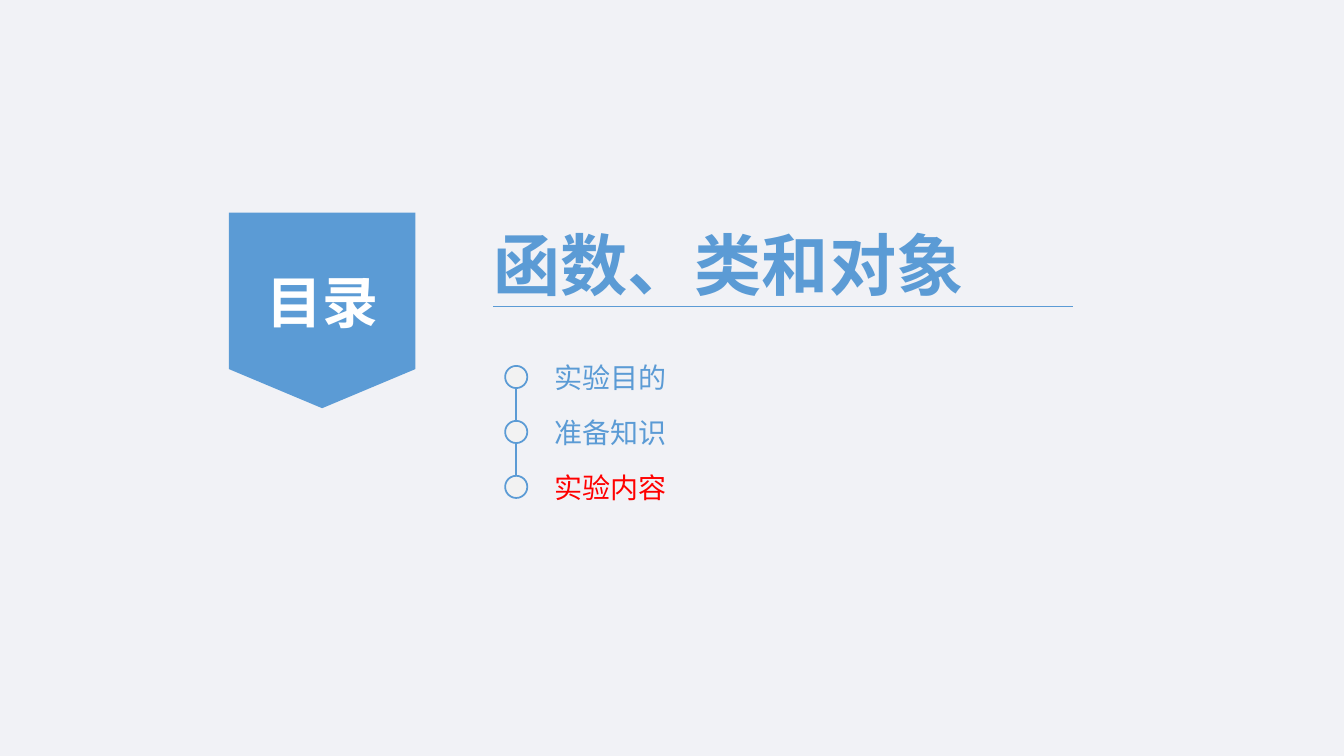
import pptx
import pptx.dml.color
import pptx.enum.shapes
import pptx.enum.text
import pptx.oxml.ns
import pptx.util
import lxml.etree

Inches = pptx.util.Inches
Shapes = pptx.enum.shapes.MSO_SHAPE
Anchor = pptx.enum.text.MSO_ANCHOR
Align = pptx.enum.text.PP_ALIGN

BLUE = "5B9BD5"
RED = "FF0000"
WHITE = "FFFFFF"
BACKGROUND = "F1F2F6"
RING_FILL = "F2F2F2"
CHINESE_FONT = "Noto Sans CJK SC"


def color(hex_string):
    return pptx.dml.color.RGBColor.from_string(hex_string)


def place(shape, left, top, width, height):
    shape.left, shape.top = Inches(left), Inches(top)
    shape.width, shape.height = Inches(width), Inches(height)


def write(shape, text, size, hex_string, font="Arial", bold=False,
          align=Align.LEFT, anchor=Anchor.TOP, margins=(0.1, 0.05)):
    frame = shape.text_frame
    frame.text = text
    frame.word_wrap = True
    frame.auto_size = pptx.enum.text.MSO_AUTO_SIZE.NONE
    frame.vertical_anchor = anchor
    frame.margin_left = frame.margin_right = Inches(margins[0])
    frame.margin_top = frame.margin_bottom = Inches(margins[1])
    para = frame.paragraphs[0]
    para.alignment = align
    span = para.runs[0]
    span.font.name = font
    span.font.size = pptx.util.Pt(size)
    span.font.bold = bold
    span.font.color.rgb = color(hex_string)
    east_asian = lxml.etree.SubElement(
        span.font._element, pptx.oxml.ns.qn("a:ea"))
    east_asian.set("typeface", CHINESE_FONT)
    return para


def add_line(page, start, end, width):
    line = page.shapes.add_connector(
        pptx.enum.shapes.MSO_CONNECTOR.STRAIGHT,
        *(Inches(value) for value in start + end))
    line.line.color.rgb = color(BLUE)
    line.line.width = pptx.util.Pt(width)
    lxml.etree.SubElement(
        line._element.spPr, pptx.oxml.ns.qn("a:effectLst"))


def add_shape(page, kind, fill, left, top, width, height):
    shape = page.shapes.add_shape(
        kind, *(Inches(value) for value in (left, top, width, height)))
    shape.shadow.inherit = False
    shape.fill.solid()
    shape.fill.fore_color.rgb = color(fill)
    shape.line.fill.background()
    return shape


def add_badge(page, left, top, width, height):
    badge = add_shape(page, Shapes.FLOWCHART_OFFPAGE_CONNECTOR, BLUE,
                      left, top, width, height)
    para = write(badge, "目录", 40, WHITE, CHINESE_FONT, True,
                 Align.CENTER, Anchor.MIDDLE)
    para.line_spacing = 1.3


def add_heading(page, left, top, width, height):
    title = page.shapes.title
    place(title, left, top, width, height)
    write(title, "函数、类和对象", 48, BLUE, bold=True)
    rule_left, rule_top = left + 0.1, top + 0.87
    add_line(page, (rule_left, rule_top), (rule_left + 5.75, rule_top), 1)


def add_contents(page, left, top, entries, pitch=0.545, ring=0.22):
    center = left + ring / 2
    for index, (text, hex_string) in enumerate(entries):
        row_top = top + index * pitch
        ring_top = row_top + 0.12
        if index:
            add_line(page, (center, ring_top - pitch + ring),
                     (center, ring_top), 1.25)
        marker = add_shape(page, Shapes.OVAL, RING_FILL,
                           left, ring_top, ring, ring)
        marker.line.color.rgb = color(BLUE)
        marker.line.width = pptx.util.Pt(1.25)
        label = page.shapes.add_textbox(
            Inches(left + 0.36), Inches(row_top), Inches(1.45), Inches(0.47))
        write(label, text, 20, hex_string, margins=(0.13, 0.07))


def build_contents_page(deck):
    page = deck.slides.add_slide(deck.slide_layouts[5])
    page.background.fill.solid()
    page.background.fill.fore_color.rgb = color(BACKGROUND)
    add_badge(page, 2.27, 2.11, 1.85, 1.94)
    add_heading(page, 4.79, 2.17, 5.2, 0.91)
    add_contents(page, 5.01, 3.51, [
        ("实验目的", BLUE),
        ("准备知识", BLUE),
        ("实验内容", RED),
    ])


deck = pptx.Presentation()
deck.slide_width, deck.slide_height = Inches(13.33), Inches(7.5)
build_contents_page(deck)
deck.save("out.pptx")
